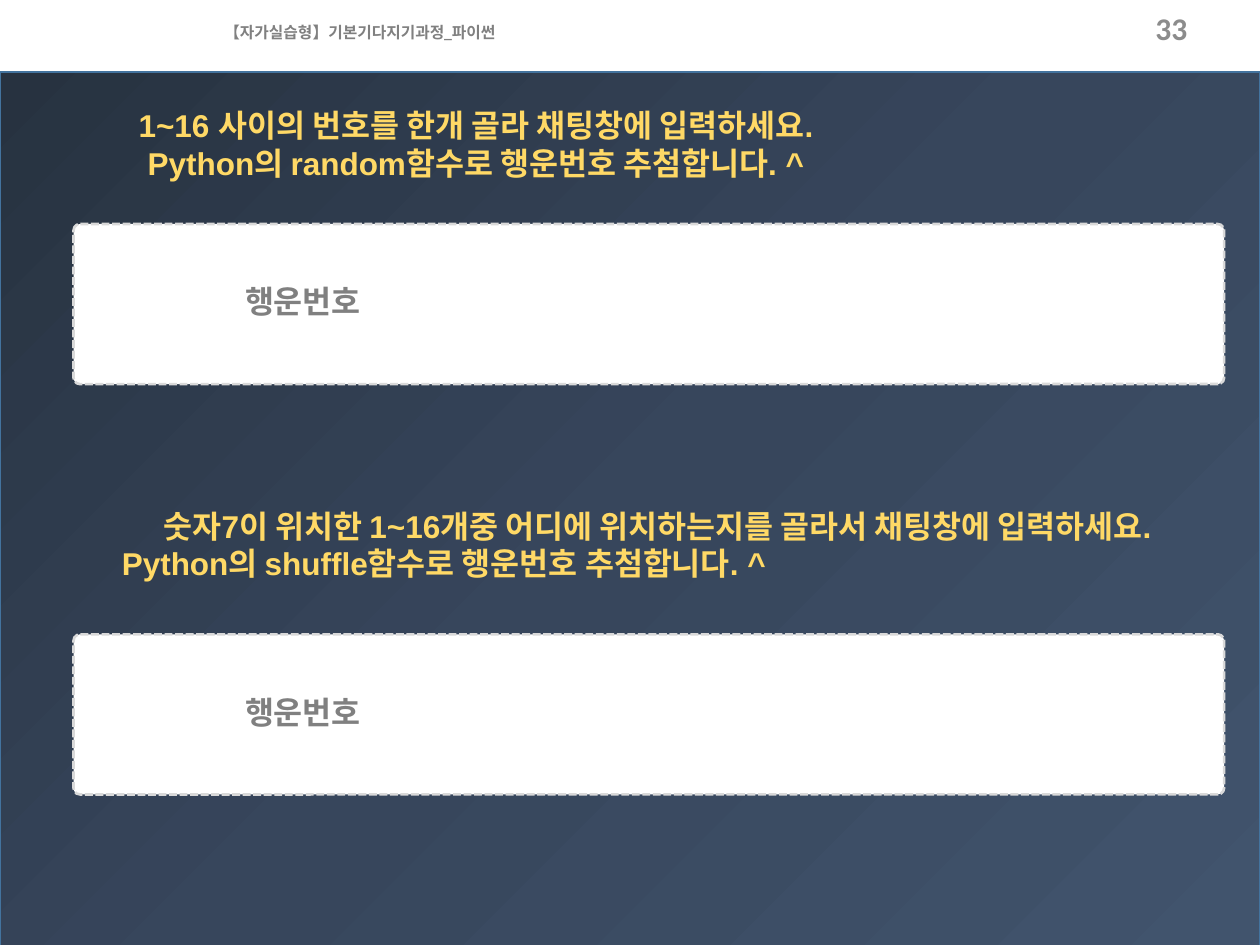
from copy import deepcopy
from dataclasses import dataclass

from pptx import Presentation
from pptx.dml.color import RGBColor
from pptx.enum.dml import MSO_LINE as Dash
from pptx.enum.shapes import MSO_SHAPE as Kind
from pptx.enum.text import MSO_ANCHOR as Anchor, PP_ALIGN as Align
from pptx.oxml.ns import qn
from pptx.util import Pt

GOLD, GRAY, WHITE = "FFD966", "808080", "FFFFFF"


@dataclass
class Line:
    text: str
    align: Align = Align.LEFT
    indent: float = 0


@dataclass
class Label:
    left: float
    top: float
    width: float
    height: float
    lines: list[Line]
    size: float = 18
    font: str = "Calibri"
    color: str = GRAY
    wrap: bool = False
    anchor: Anchor = Anchor.TOP


@dataclass
class Round:
    prompt: Label
    top: float


def rgb(code: str) -> RGBColor:
    return RGBColor.from_string(code)


def draw_label(slide, item: Label) -> None:
    box = slide.shapes.add_textbox(
        Pt(item.left), Pt(item.top), Pt(item.width), Pt(item.height))
    frame = box.text_frame
    frame.word_wrap = item.wrap
    frame.vertical_anchor = item.anchor
    for i, line in enumerate(item.lines):
        para = frame.add_paragraph() if i else frame.paragraphs[0]
        para.alignment = line.align
        if line.indent:
            props = para._p.get_or_add_pPr()
            props.set("marL", str(Pt(line.indent)))
            props.set("indent", "0")
        run = para.add_run()
        run.text = line.text
        run.font.name = item.font
        run.font.size = Pt(item.size)
        run.font.bold = True
        run.font.color.rgb = rgb(item.color)


def draw_panel(slide) -> None:
    panel = slide.shapes.add_shape(Kind.RECTANGLE, 0, Pt(41), Pt(720), Pt(502))
    panel.shadow.inherit = False
    panel.line.color.rgb = rgb("43739E")
    panel.line.width = Pt(1)
    fill = panel.fill
    fill.gradient()
    fill.gradient_angle = 315
    stops = panel._element.spPr.find(".//" + qn("a:gsLst"))
    stops.append(deepcopy(stops[-1]))
    shades = [(0, "273240"), (0.5, "37465C"), (1, "41546D")]
    for stop, (place, code) in zip(fill.gradient_stops, shades):
        stop.position = place
        stop.color.rgb = rgb(code)


def draw_round(slide, item: Round) -> None:
    draw_label(slide, item.prompt)
    card = slide.shapes.add_shape(
        Kind.ROUNDED_RECTANGLE, Pt(42), Pt(item.top), Pt(657.5), Pt(91.5))
    card.adjustments[0] = 0.04
    card.shadow.inherit = False
    card.fill.solid()
    card.fill.fore_color.rgb = rgb(WHITE)
    card.line.color.rgb = rgb("D9D9D9")
    card.line.width = Pt(1.5)
    card.line.dash_style = Dash.SQUARE_DOT
    draw_label(slide, Label(97.5, item.top + 29.75, 422, 29,
                            [Line("행운번호", indent=35.4)], wrap=True))


def main() -> None:
    deck = Presentation()
    deck.slide_width, deck.slide_height = Pt(720), Pt(540)
    slide = deck.slides.add_slide(deck.slide_layouts[6])
    draw_panel(slide)
    draw_label(slide, Label(
        121, 9.5, 173.5, 18, [Line("【자가실습형】기본기다지기과정_파이썬")], size=9))
    rounds = [
        Round(Label(48, 57, 448, 51, [
            Line("1~16 사이의 번호를 한개 골라 채팅창에 입력하세요.", Align.CENTER),
            Line("Python의 random함수로 행운번호 추첨합니다. ^", Align.CENTER),
        ], font="Arial", color=GOLD), 128),
        Round(Label(52.5, 286, 646.5, 51, [
            Line("숫자7이 위치한 1~16개중 어디에 위치하는지를 골라서 채팅창에 입력하세요.",
                 Align.CENTER),
            Line("Python의 shuffle함수로 행운번호 추첨합니다. ^", indent=10),
        ], font="Arial", color=GOLD), 362.5),
    ]
    for item in rounds:
        draw_round(slide, item)
    draw_label(slide, Label(523.5, 1.5, 162, 29, [Line("33", Align.RIGHT)],
                            color="8C8C8C", wrap=True, anchor=Anchor.MIDDLE))
    deck.save("out.pptx")


if __name__ == "__main__":
    main()
